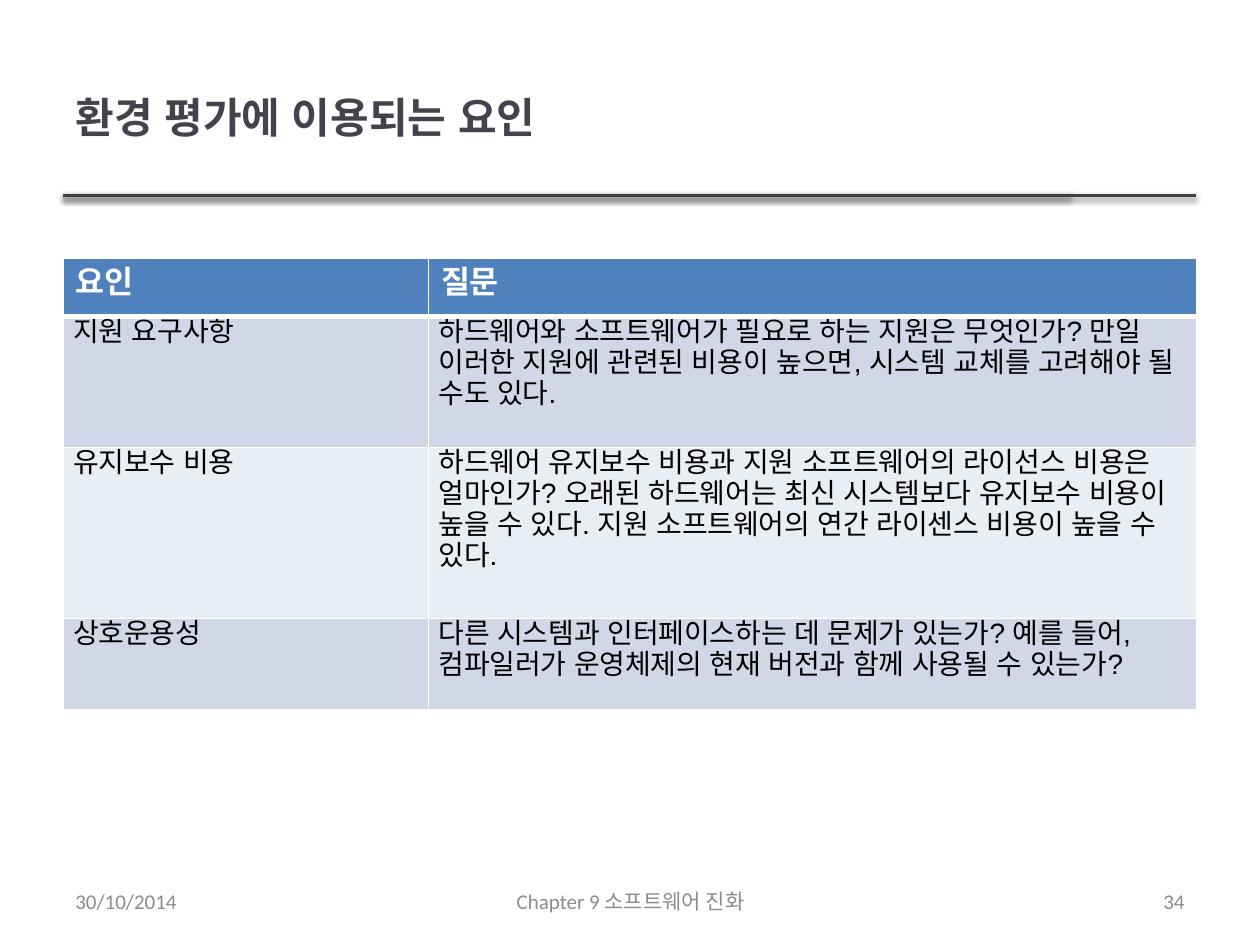
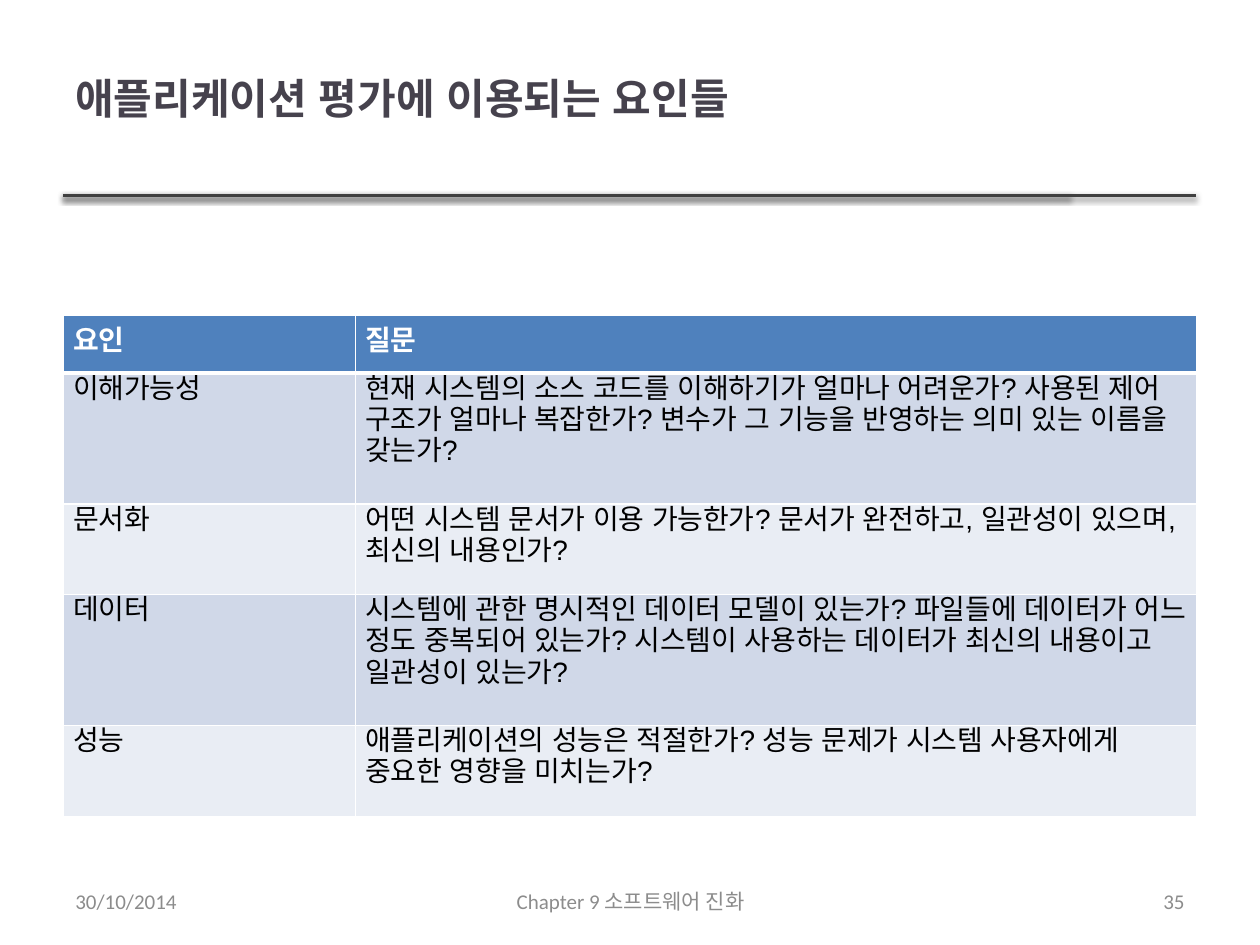
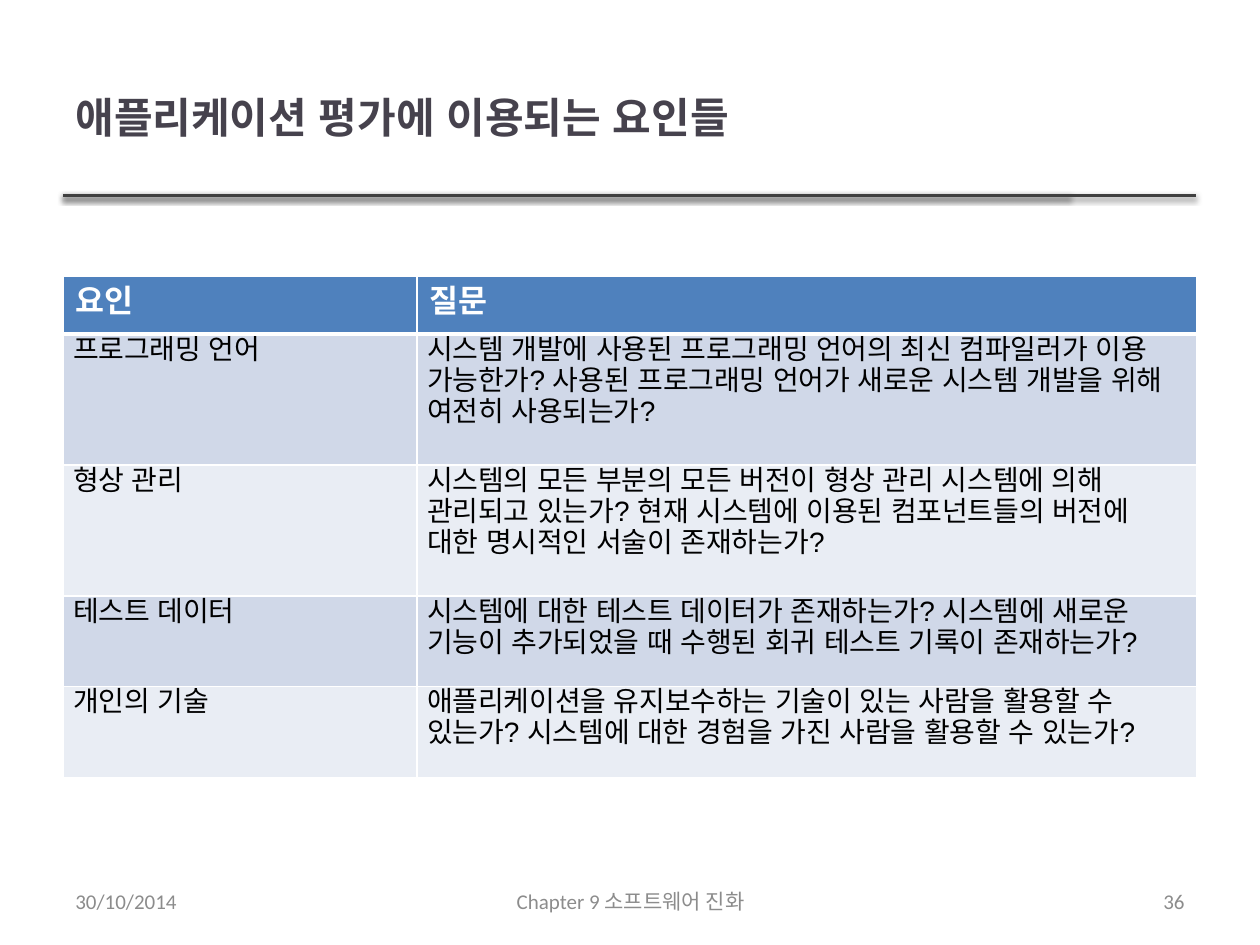
from lxml import etree
from pptx import Presentation
from pptx.dml.color import RGBColor
from pptx.enum.shapes import MSO_CONNECTOR as CONN
from pptx.enum.text import MSO_ANCHOR as ANCHOR, PP_ALIGN as ALIGN
from pptx.oxml import parse_xml
from pptx.oxml.ns import nsdecls, qn
from pptx.util import Inches, Pt

WHITE = RGBColor(0xFF, 0xFF, 0xFF)
BLACK = RGBColor(0x00, 0x00, 0x00)
TITLE = RGBColor(0x46, 0x42, 0x4D)
RULE = RGBColor(0x40, 0x40, 0x40)
FOOTER = RGBColor(0x8C, 0x8C, 0x8C)
HEADER = RGBColor(0x4F, 0x81, 0xBD)
BANDS = (RGBColor(0xD0, 0xD8, 0xE8), RGBColor(0xE9, 0xED, 0xF4))

LEFT, WIDTH = 0.5, 9
HEADER_HEIGHT = 0.46
LINE_HEIGHT = 0.32
PAD = 0.08
HEADINGS = ("요인", "질문")
DATE = "30/10/2014"
CHAPTER = "Chapter 9 소프트웨어 진화"


def write(tf, text, size=16, font="Arial", color=BLACK, bold=False,
          align=ALIGN.LEFT, after=0):
    p = tf.paragraphs[0]
    p.alignment = align
    p.space_after = Pt(after)
    r = p.add_run()
    r.text = text
    r.font.size = Pt(size)
    r.font.bold = bold
    r.font.color.rgb = color
    r.font.name = font
    etree.SubElement(r._r.get_or_add_rPr(), qn("a:ea"), typeface=font)


class Deck:
    def __init__(self):
        self.prs = Presentation()
        self.prs.slide_width = Inches(10)
        self.prs.slide_height = Inches(7.5)

    def slide(self, title, number, top=0.3, width=7.98):
        self.s = self.prs.slides.add_slide(self.prs.slide_layouts[6])
        for end in (8.49, 9.49):
            self.rule(end)
        self.text(title, LEFT, top, width, 1.25, size=24, color=TITLE, bold=True)
        for text, left, w, align in (
            (CHAPTER, 3.42, 3.17, ALIGN.CENTER),
            (str(number), 7.17, 2.33, ALIGN.RIGHT),
            (DATE, LEFT, 2.33, ALIGN.LEFT),
        ):
            self.text(text, left, 6.95, w, 0.4, size=12, font="Calibri",
                      color=FOOTER, align=align)

    def rule(self, end, y=1.55):
        sp = self.s.shapes.add_connector(
            CONN.STRAIGHT, Inches(LEFT), Inches(y), Inches(end), Inches(y))
        sp.line.color.rgb = RULE
        sp.line.width = Pt(2)
        sp._element.spPr.append(parse_xml(
            f'<a:effectLst {nsdecls("a")}>'
            f'<a:outerShdw blurRad="{Pt(3.1)}" dist="{Pt(1.6)}" dir="5400000" '
            'rotWithShape="0"><a:srgbClr val="000000"><a:alpha val="38000"/>'
            '</a:srgbClr></a:outerShdw></a:effectLst>'))

    def text(self, text, left, top, width, height, **style):
        sp = self.s.shapes.add_textbox(
            Inches(left), Inches(top), Inches(width), Inches(height))
        tf = sp.text_frame
        tf.word_wrap = True
        tf.vertical_anchor = ANCHOR.MIDDLE
        write(tf, text, **style)

    def borders(self, cell, top, bottom):
        tcPr = cell._tc.get_or_add_tcPr()
        for i, (side, width) in enumerate(
                (("L", 1), ("R", 1), ("T", top), ("B", bottom))):
            ln = etree.Element(qn(f"a:ln{side}"), w=str(Pt(width)))
            fill = etree.SubElement(ln, qn("a:solidFill"))
            etree.SubElement(fill, qn("a:srgbClr"), val=str(WHITE))
            tcPr.insert(i, ln)

    def cell(self, cell, text, fill, top=1, bottom=1, pad_top=None, **style):
        cell.fill.solid()
        cell.fill.fore_color.rgb = fill
        if pad_top is not None:
            cell.margin_left = cell.margin_right = cell.margin_bottom = Inches(PAD)
            cell.margin_top = Inches(pad_top)
        self.borders(cell, top, bottom)
        write(cell.text_frame, text, **style)

    def table(self, top, factor_width, rows, **header):
        heights = [HEADER_HEIGHT] + [PAD + LINE_HEIGHT * row[2] for row in rows]
        tbl = self.s.shapes.add_table(
            len(heights), 2, Inches(LEFT), Inches(top), Inches(WIDTH),
            Inches(sum(heights))).table
        tbl.columns[0].width = Inches(factor_width)
        tbl.columns[1].width = Inches(WIDTH - factor_width)
        for row, height in zip(tbl.rows, heights):
            row.height = Inches(height)
        for c, text in enumerate(HEADINGS):
            self.cell(tbl.cell(0, c), text, HEADER, bottom=3, color=WHITE,
                      bold=True, **header)
        for i, row in enumerate(rows):
            for c, text in enumerate(row[:2]):
                self.cell(tbl.cell(i + 1, c), text, BANDS[i % 2],
                          top=1 if i else 3, pad_top=0, after=6)


def main():
    deck = Deck()

    deck.slide("환경 평가에 이용되는 요인", 34)
    deck.table(2.05, 2.9, [
        ("지원 요구사항",
         "하드웨어와 소프트웨어가 필요로 하는 지원은 무엇인가? 만일 이러한 지원에 "
         "관련된 비용이 높으면, 시스템 교체를 고려해야 될 수도 있다.", 3),
        ("유지보수 비용",
         "하드웨어 유지보수 비용과 지원 소프트웨어의 라이선스 비용은 얼마인가? "
         "오래된 하드웨어는 최신 시스템보다 유지보수 비용이 높을 수 있다. "
         "지원 소프트웨어의 연간 라이센스 비용이 높을 수 있다.", 4),
        ("상호운용성",
         "다른 시스템과 인터페이스하는 데 문제가 있는가? 예를 들어, 컴파일러가 "
         "운영체제의 현재 버전과 함께 사용될 수 있는가?", 2),
    ], size=18)

    deck.slide("애플리케이션 평가에 이용되는 요인들", 35, top=0.15, width=WIDTH)
    deck.table(2.5, 2.32, [
        ("이해가능성",
         "현재 시스템의 소스 코드를 이해하기가 얼마나 어려운가? 사용된 제어 구조가 "
         "얼마나 복잡한가? 변수가 그 기능을 반영하는 의미 있는 이름을 갖는가?", 3),
        ("문서화",
         "어떤 시스템 문서가 이용 가능한가? 문서가 완전하고, 일관성이 있으며, "
         "최신의 내용인가?", 2),
        ("데이터",
         "시스템에 관한 명시적인 데이터 모델이 있는가? 파일들에 데이터가 어느 정도 "
         "중복되어 있는가? 시스템이 사용하는 데이터가 최신의 내용이고 일관성이 있는가?",
         3),
        ("성능",
         "애플리케이션의 성능은 적절한가? 성능 문제가 시스템 사용자에게 중요한 "
         "영향을 미치는가?", 2),
    ], pad_top=PAD, after=6)

    deck.slide("애플리케이션 평가에 이용되는 요인들", 36)
    deck.table(2.19, 2.81, [
        ("프로그래밍 언어",
         "시스템 개발에 사용된 프로그래밍 언어의 최신 컴파일러가 이용 가능한가? "
         "사용된 프로그래밍 언어가 새로운 시스템 개발을 위해 여전히 사용되는가?", 3),
        ("형상 관리",
         "시스템의 모든 부분의 모든 버전이 형상 관리 시스템에 의해 관리되고 있는가? "
         "현재 시스템에 이용된 컴포넌트들의 버전에 대한 명시적인 서술이 존재하는가?", 3),
        ("테스트 데이터",
         "시스템에 대한 테스트 데이터가 존재하는가? 시스템에 새로운 기능이 "
         "추가되었을 때 수행된 회귀 테스트 기록이 존재하는가?", 2),
        ("개인의 기술",
         "애플리케이션을 유지보수하는 기술이 있는 사람을 활용할 수 있는가? "
         "시스템에 대한 경험을 가진 사람을 활용할 수 있는가?", 2),
    ], size=18, font="Calibri")

    deck.prs.save("out.pptx")


if __name__ == "__main__":
    main()
